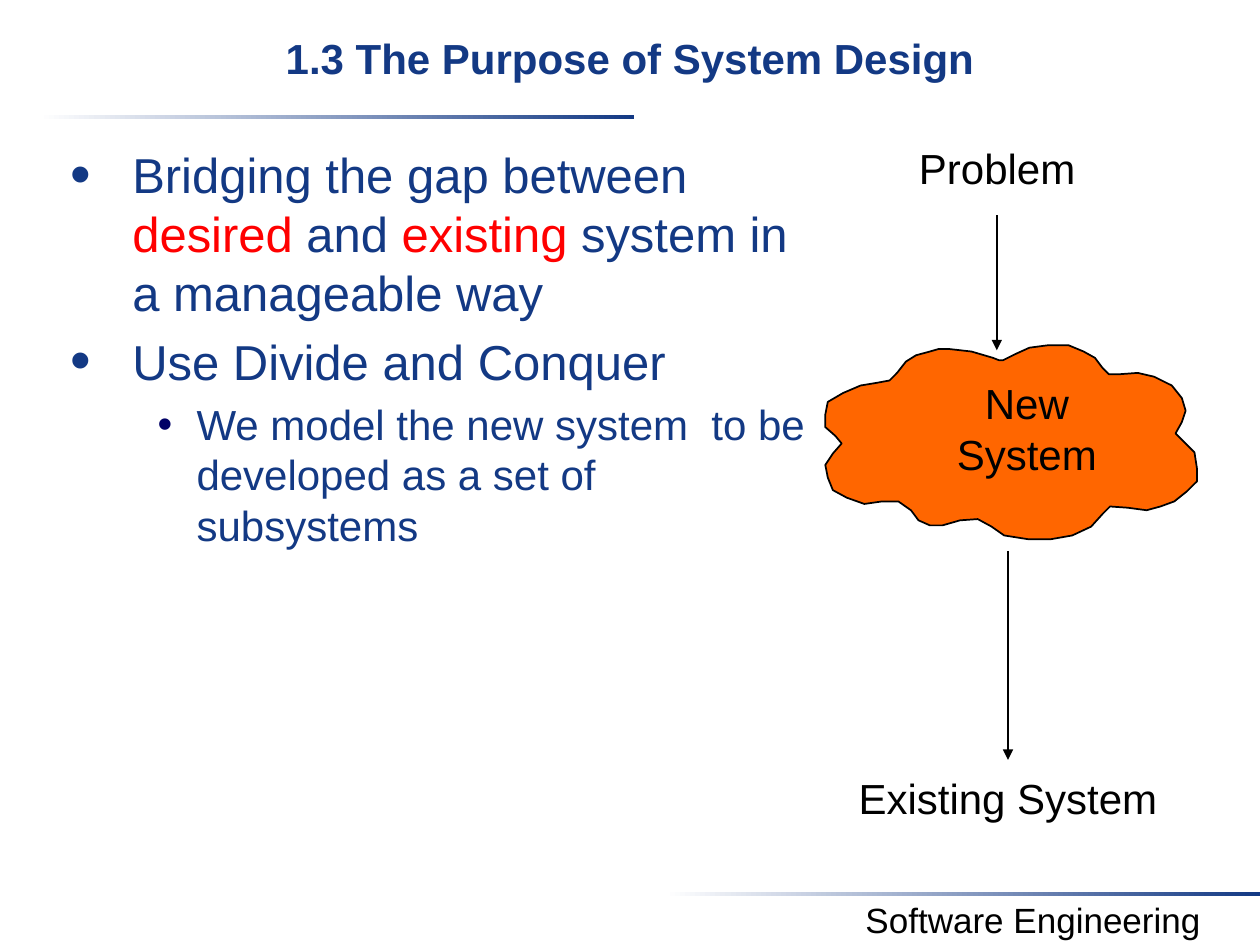
from lxml.etree import SubElement
from pptx import Presentation
from pptx.dml.color import RGBColor
from pptx.enum.shapes import MSO_CONNECTOR, MSO_SHAPE
from pptx.enum.text import MSO_ANCHOR, MSO_AUTO_SIZE, PP_ALIGN
from pptx.oxml.ns import qn
from pptx.util import Pt

COLORS = {"navy": "133984", "red": "FF0000", "black": "000000",
          "white": "FFFFFF", "orange": "FF6600", "bullet": "000066"}

# Outline of the cloud on a 295 x 154 grid
CLOUD_UNIT = Pt(0.72)
CLOUD = [
    (116, 5), (133, 10), (138, 12), (141, 12), (151, 7), (162, 2), (177, 0),
    (193, 0), (205, 5), (214, 10), (220, 18), (225, 23), (234, 23), (248, 22),
    (261, 25), (275, 32), (283, 42), (286, 52), (283, 61), (278, 70), (286, 78),
    (293, 85), (295, 98), (295, 108), (287, 116), (277, 124), (266, 128),
    (255, 131), (240, 129), (226, 128), (220, 134), (211, 144), (196, 151),
    (179, 154), (161, 154), (142, 151), (132, 144), (121, 138), (107, 139),
    (93, 143), (83, 143), (74, 139), (68, 131), (58, 124), (45, 124), (31, 126),
    (17, 121), (6, 115), (2, 105), (0, 95), (6, 86), (13, 78), (8, 72), (0, 65),
    (0, 55), (2, 45), (14, 38), (28, 32), (40, 30), (51, 28), (57, 22), (64, 13),
    (72, 8), (83, 5), (90, 3), (98, 3)]


def rgb(name):
    return RGBColor.from_string(COLORS[name])


def place(sp, left, top, width, height):
    box = {"left": left, "top": top, "width": width, "height": height}
    for name, value in box.items():
        setattr(sp, name, Pt(value))


def add_run(p, text, size, color="black", bold=False):
    r = p.add_run()
    r.text = text
    for name, value in {"name": "Arial", "size": Pt(size), "bold": bold}.items():
        setattr(r.font, name, value)
    r.font.color.rgb = rgb(color)


def add_label(slide, box, lines, size=24, wrap=True):
    sp = slide.shapes.add_textbox(*map(Pt, box))
    tf = sp.text_frame
    tf.word_wrap = wrap
    for i, line in enumerate(lines):
        p = tf.paragraphs[0] if i == 0 else tf.add_paragraph()
        p.alignment = PP_ALIGN.CENTER
        add_run(p, line, size)


def add_rule(slide, left, top):
    """Thin bar that fades in from white to navy."""
    sp = slide.shapes.add_shape(MSO_SHAPE.RECTANGLE, Pt(left), Pt(top), Pt(340), Pt(2.2))
    sp.shadow.inherit = False
    sp.line.fill.background()
    sp.fill.gradient()
    sp.fill.gradient_angle = 0
    for stop, color, position in zip(sp.fill.gradient_stops, ("white", "navy"), (0, 1)):
        stop.color.rgb = rgb(color)
        stop.position = position


def add_arrow(slide, x, top, bottom):
    line = slide.shapes.add_connector(MSO_CONNECTOR.STRAIGHT, Pt(x), Pt(top), Pt(x), Pt(bottom))
    line.line.color.rgb = rgb("black")
    line.line.width = Pt(1)
    SubElement(line.line._get_or_add_ln(), qn("a:tailEnd"), type="triangle")
    SubElement(line._element.spPr, qn("a:effectLst"))


def add_cloud(slide, left, top):
    builder = slide.shapes.build_freeform(*CLOUD[0], scale=CLOUD_UNIT)
    builder.add_line_segments(CLOUD[1:], close=True)
    sp = builder.convert_to_shape(Pt(left), Pt(top))
    sp.shadow.inherit = False
    sp.fill.solid()
    sp.fill.fore_color.rgb = rgb("orange")
    sp.line.color.rgb = rgb("black")
    sp.line.width = Pt(1)


def set_bullet(p, margin, indent, size=100, color=None):
    pPr = p._p.get_or_add_pPr()
    pPr.set("marL", str(Pt(margin)))
    pPr.set("indent", str(Pt(indent)))
    if color:
        SubElement(SubElement(pPr, qn("a:buClr")), qn("a:srgbClr"), val=COLORS[color])
    SubElement(pPr, qn("a:buSzPct"), val=str(size * 1000))
    SubElement(pPr, qn("a:buFont"), typeface="Arial")
    SubElement(pPr, qn("a:buChar"), char="•")


def fill_title(sp, box, text):
    place(sp, *box)
    tf = sp.text_frame
    frame = {"auto_size": MSO_AUTO_SIZE.NONE, "vertical_anchor": MSO_ANCHOR.TOP,
             "margin_top": Pt(4.3)}
    for name, value in frame.items():
        setattr(tf, name, value)
    p = tf.paragraphs[0]
    p.alignment = PP_ALIGN.CENTER
    add_run(p, text, 24, "navy", bold=True)


def fill_body(sp, box, items):
    """Items are (level, [(text, color), ...])."""
    levels = [
        {"size": 28, "bullet": {"margin": 35.3, "indent": -35.3, "size": 120}},
        {"size": 24, "bullet": {"margin": 72, "indent": -22.3, "color": "bullet"}}]
    place(sp, *box)
    tf = sp.text_frame
    tf.auto_size = MSO_AUTO_SIZE.NONE
    for i, (level, runs) in enumerate(items):
        p = tf.paragraphs[0] if i == 0 else tf.add_paragraph()
        p.level = level
        set_bullet(p, **levels[level]["bullet"])
        for text, color in runs:
            add_run(p, text, levels[level]["size"], color)


def draw_diagram(slide, left, top):
    """Problem, new system and existing system, from top to bottom."""
    add_label(slide, (left + 46, top, 104.4, 36), ["Problem"], wrap=False)
    add_label(slide, (left - 21.6, top + 360, 252, 36), ["Existing System"])
    add_cloud(slide, left, top + 119.5)
    add_label(slide, (left + 67.7, top + 134.6, 95, 65.5), ["New", "System"], wrap=False)
    add_arrow(slide, left + 98, top + 45.3, top + 122.4)
    add_arrow(slide, left + 104.4, top + 237, top + 356.4)


def main():
    prs = Presentation()
    prs.slide_width, prs.slide_height = Pt(720), Pt(540)
    slide = prs.slides.add_slide(prs.slide_layouts[1])
    title, body = slide.placeholders

    add_rule(slide, 22.3, 65.7)
    add_rule(slide, 380, 510)
    add_label(slide, (460.8, 509.8, 259.2, 31.7), ["Software Engineering"], size=20)
    fill_title(title, (0, 14.4, 720, 54), "1.3 The Purpose of System Design")
    fill_body(body, (33.1, 79.2, 435.6, 334.8), [
        (0, [("Bridging the gap between ", "navy"), ("desired", "red"), (" and ", "navy"),
             ("existing", "red"), (" system in a manageable way", "navy")]),
        (0, [("Use Divide and Conquer", "navy")]),
        (1, [("We model the new system  to be developed as a set of subsystems", "navy")])])
    draw_diagram(slide, 471.6, 77.8)
    prs.save("out.pptx")


if __name__ == "__main__":
    main()
